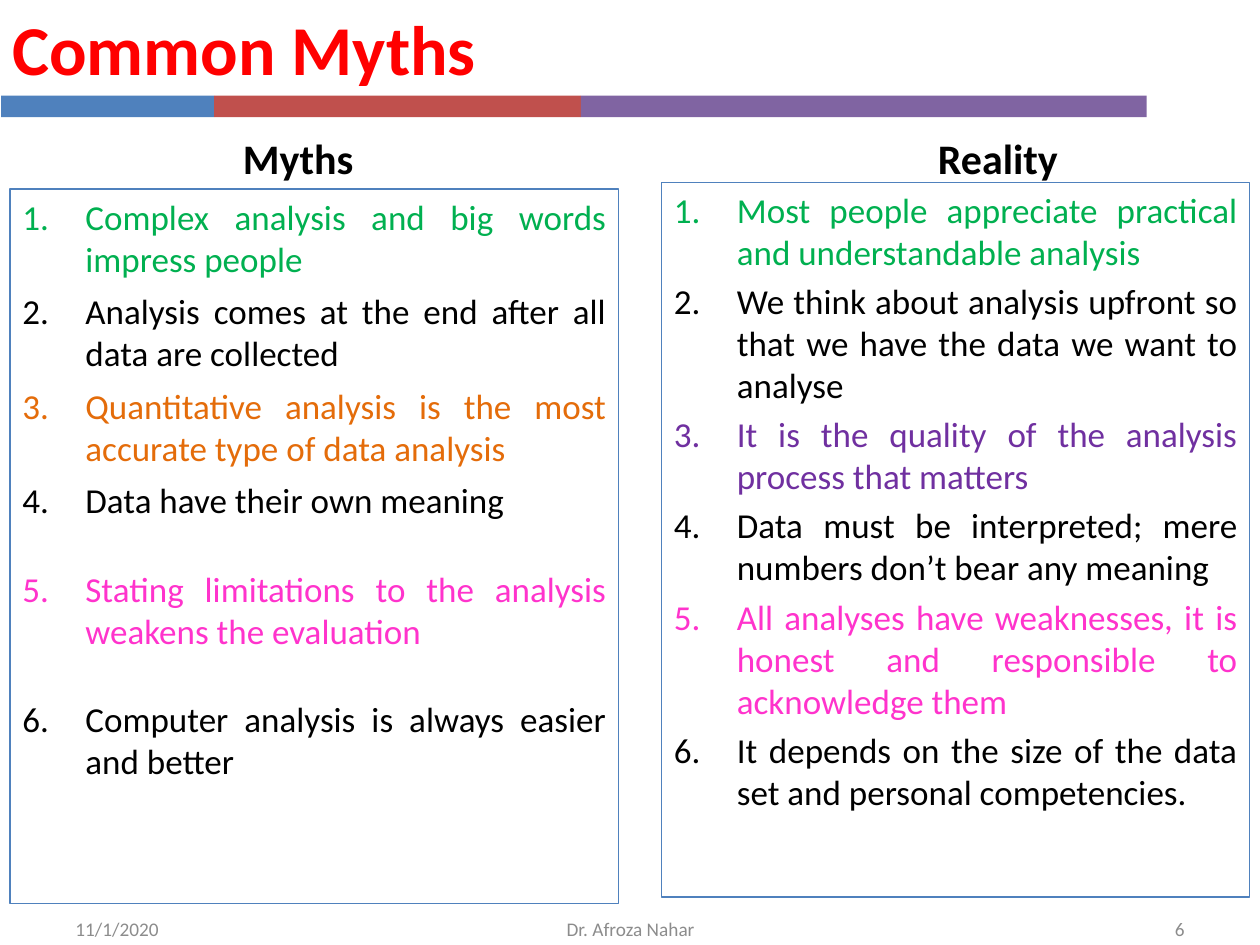
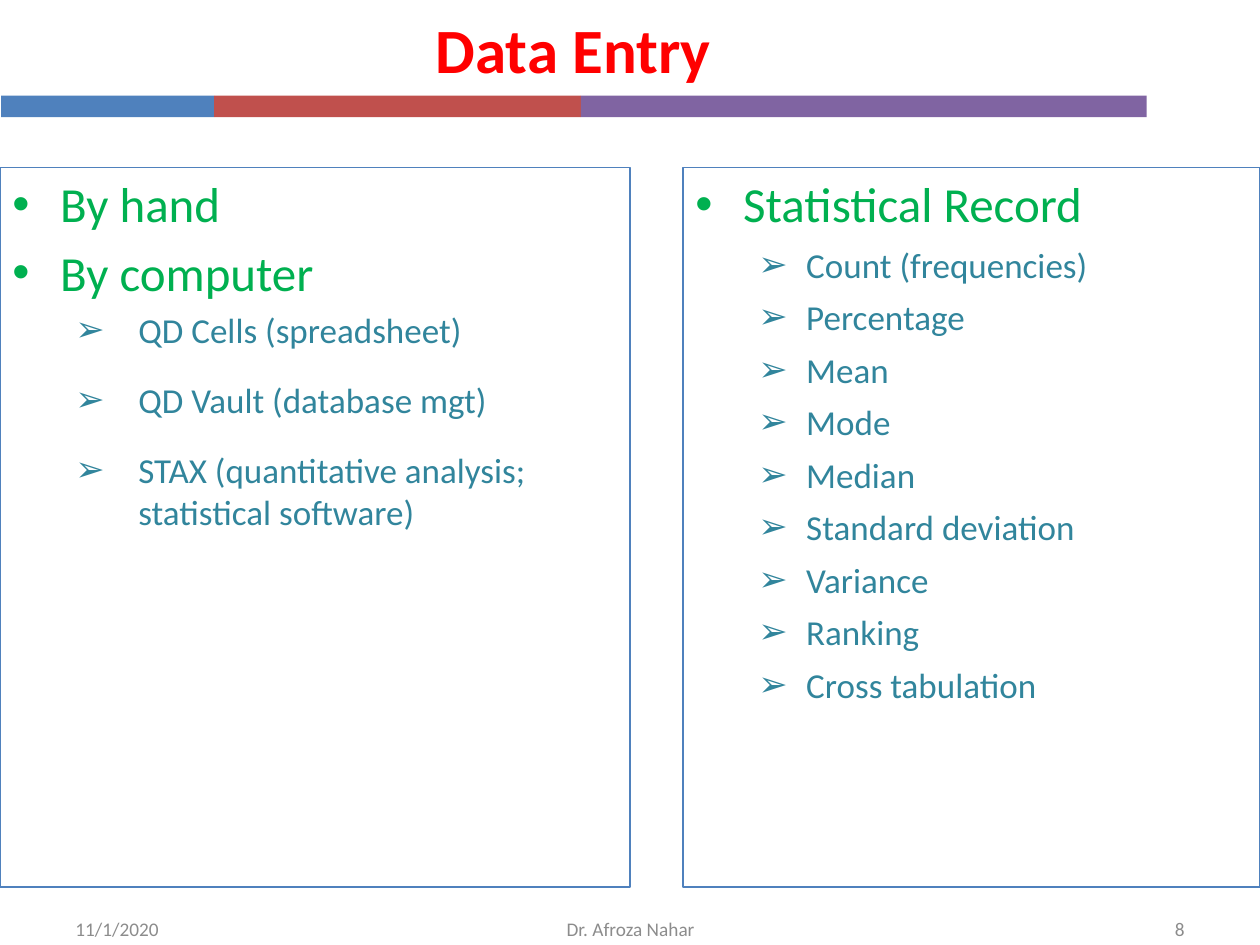
from lxml import etree
from pptx import Presentation
from pptx.dml.color import RGBColor
from pptx.enum.shapes import MSO_SHAPE
from pptx.enum.text import MSO_ANCHOR, PP_ALIGN
from pptx.oxml.ns import qn
from pptx.util import Inches, Pt

RECTANGLE = MSO_SHAPE.RECTANGLE
TOP, MIDDLE = MSO_ANCHOR.TOP, MSO_ANCHOR.MIDDLE
LEFT, CENTER = PP_ALIGN.LEFT, PP_ALIGN.CENTER
RIGHT, JUSTIFY = PP_ALIGN.RIGHT, PP_ALIGN.JUSTIFY

BLACK = RGBColor(0x00, 0x00, 0x00)
RED = RGBColor(0xFF, 0x00, 0x00)
GREEN = RGBColor(0x00, 0xB0, 0x50)
ORANGE = RGBColor(0xE4, 0x6C, 0x0A)
VIOLET = RGBColor(0x70, 0x30, 0xA0)
PINK = RGBColor(0xFF, 0x33, 0xCC)
TEAL = RGBColor(0x31, 0x85, 0x9C)
GREY = RGBColor(0x8C, 0x8C, 0x8C)
BLUE = RGBColor(0x4F, 0x81, 0xBD)
BRICK = RGBColor(0xC0, 0x50, 0x4D)
PURPLE = RGBColor(0x80, 0x64, 0xA2)

FONT = "Calibri"
BANDS = [(1.69, BLUE), (2.91, BRICK), (4.49, PURPLE)]
WIDE_GAP = 26.6  # space before a point that stands apart

# Paragraph styles: size, alignment, indents in inches, spacing in points
NUMBERED = dict(size=20, align=JUSTIFY, margin=0.5, hang=0.5, before=6, bullet="1.")
NUMBERED_TIGHT = NUMBERED | dict(before=4)
TOPIC = dict(size=28, color=GREEN, align=JUSTIFY, margin=0.38, hang=0.38,
             before=5.6, bullet="•")
TOOL = dict(size=20, color=TEAL, level=1, margin=1, hang=0.5,
            before=4, after=12, bullet="➢")
MEASURE = dict(size=20, color=TEAL, level=1, margin=0.88, hang=0.38,
               before=6, bullet="➢")


class SlideBuilder:
    """Holds the deck, its shared style and the current page."""

    def __init__(self):
        self.deck = Presentation()
        self.deck.slide_width = Inches(10)
        self.deck.slide_height = Inches(7.5)
        self.page = None

    def new_page(self, title, number, size, align):
        self.page = self.deck.slides.add_slide(self.deck.slide_layouts[6])
        # Coloured bands under the title
        left = 0.01
        for width, color in BANDS:
            self.rectangle(left, 0.76, width, 0.17, fill=color)
            left += width
        self.text(title, 0, 0, 9.1, 0.76, MIDDLE,
                  size=size, color=RED, bold=True, align=align)
        # Footer
        for words, x, width, side in [("11/1/2020", 0.5, 2.33, LEFT),
                                      ("Dr. Afroza Nahar", 3.42, 3.17, CENTER),
                                      (number, 7.17, 2.33, RIGHT)]:
            self.text(words, x, 7.17, width, 0.4, MIDDLE,
                      size=11, color=GREY, align=side)

    def rectangle(self, left, top, width, height, fill=None, line=None):
        box = self.page.shapes.add_shape(
            RECTANGLE, Inches(left), Inches(top), Inches(width), Inches(height))
        box.shadow.inherit = False
        if fill is None:
            box.fill.background()
        else:
            box.fill.solid()
            box.fill.fore_color.rgb = fill
        if line is None:
            box.line.fill.background()
        else:
            box.line.color.rgb = line
            box.line.width = Pt(0.75)
        return box

    def text(self, words, left, top, width, height, anchor=TOP, **style):
        box = self.page.shapes.add_textbox(
            Inches(left), Inches(top), Inches(width), Inches(height))
        self.fill_frame(box.text_frame, [(words, style)], anchor)

    def panel(self, left, top, width, height, items):
        box = self.rectangle(left, top, width, height, line=BLUE)
        self.fill_frame(box.text_frame, items, TOP)

    def fill_frame(self, frame, items, anchor):
        frame.word_wrap = True
        frame.vertical_anchor = anchor
        for index, (words, style) in enumerate(items):
            para = frame.add_paragraph() if index else frame.paragraphs[0]
            self.paragraph(para, words, **style)

    def paragraph(self, para, words, size, color, bold=False, align=LEFT, level=0,
                  margin=0, hang=0, before=0, after=0, bullet=None):
        layout = dict(alignment=align, level=level,
                      space_before=Pt(before), space_after=Pt(after))
        for name, value in layout.items():
            setattr(para, name, value)
        span = para.add_run()
        span.text = words
        span.font.color.rgb = color
        for name, value in dict(name=FONT, size=Pt(size), bold=bold).items():
            setattr(span.font, name, value)
        if bullet:
            self.bullet(para, bullet, margin, hang)

    def bullet(self, para, mark, margin, hang):
        properties = para._p.get_or_add_pPr()
        properties.set("marL", str(Inches(margin)))
        properties.set("indent", str(-Inches(hang)))
        if mark == "1.":
            etree.SubElement(properties, qn("a:buFont"), typeface=FONT)
            etree.SubElement(properties, qn("a:buAutoNum"), type="arabicPeriod")
        else:
            etree.SubElement(properties, qn("a:buFont"), typeface="Arial")
            etree.SubElement(properties, qn("a:buChar"), char=mark)


def points(style, rows):
    """Pair each row (words, colour, optional changes) with its style."""
    return [(words, style | dict(color=color) | dict(*changes))
            for words, color, *changes in rows]


def build_myths(builder):
    builder.new_page("Common Myths", "6", 40, LEFT)
    apart = dict(before=WIDE_GAP)
    builder.panel(0.08, 1.5, 4.83, 5.67, points(NUMBERED, [
        ("Complex analysis and big words impress people", GREEN),
        ("Analysis comes at the end after all data are collected", BLACK),
        ("Quantitative analysis is the most accurate type of data analysis", ORANGE),
        ("Data have their own meaning", BLACK),
        ("Stating limitations to the analysis weakens the evaluation", PINK, apart),
        ("Computer analysis is always easier and better", BLACK, apart),
    ]))
    builder.panel(5.25, 1.45, 4.67, 5.67, points(NUMBERED_TIGHT, [
        ("Most people appreciate practical and understandable analysis", GREEN),
        ("We think about analysis upfront so that we have the data we want to analyse",
         BLACK),
        ("It is the quality of the analysis process that matters", VIOLET),
        ("Data must be interpreted; mere numbers don’t bear any meaning", BLACK),
        ("All analyses have weaknesses, it is honest and responsible to "
         "acknowledge them", PINK),
        ("It depends on the size of the data set and personal competencies.", BLACK),
    ]))
    # Column headings
    heading = dict(size=24, color=BLACK, bold=True)
    builder.text("Myths", 1.83, 1, 1.17, 0.5, **heading)
    builder.text("Reality", 7.17, 1, 1.5, 0.5, align=CENTER, **heading)


def build_data_entry(builder):
    builder.new_page("Data Entry", "8", 36, CENTER)
    tools = ["QD Cells (spreadsheet)", "QD Vault (database mgt)",
             "STAX (quantitative analysis; statistical software)"]
    measures = ["Count (frequencies)", "Percentage", "Mean", "Mode", "Median",
                "Standard deviation", "Variance", "Ranking", "Cross tabulation"]
    builder.panel(0, 1.33, 5, 5.71,
                  [("By hand", TOPIC), ("By computer", TOPIC)]
                  + [(tool, TOOL) for tool in tools])
    builder.panel(5.42, 1.33, 4.58, 5.71,
                  [("Statistical Record", TOPIC)]
                  + [(measure, MEASURE) for measure in measures])


def main():
    builder = SlideBuilder()
    build_myths(builder)
    build_data_entry(builder)
    builder.deck.save("out.pptx")


if __name__ == "__main__":
    main()
